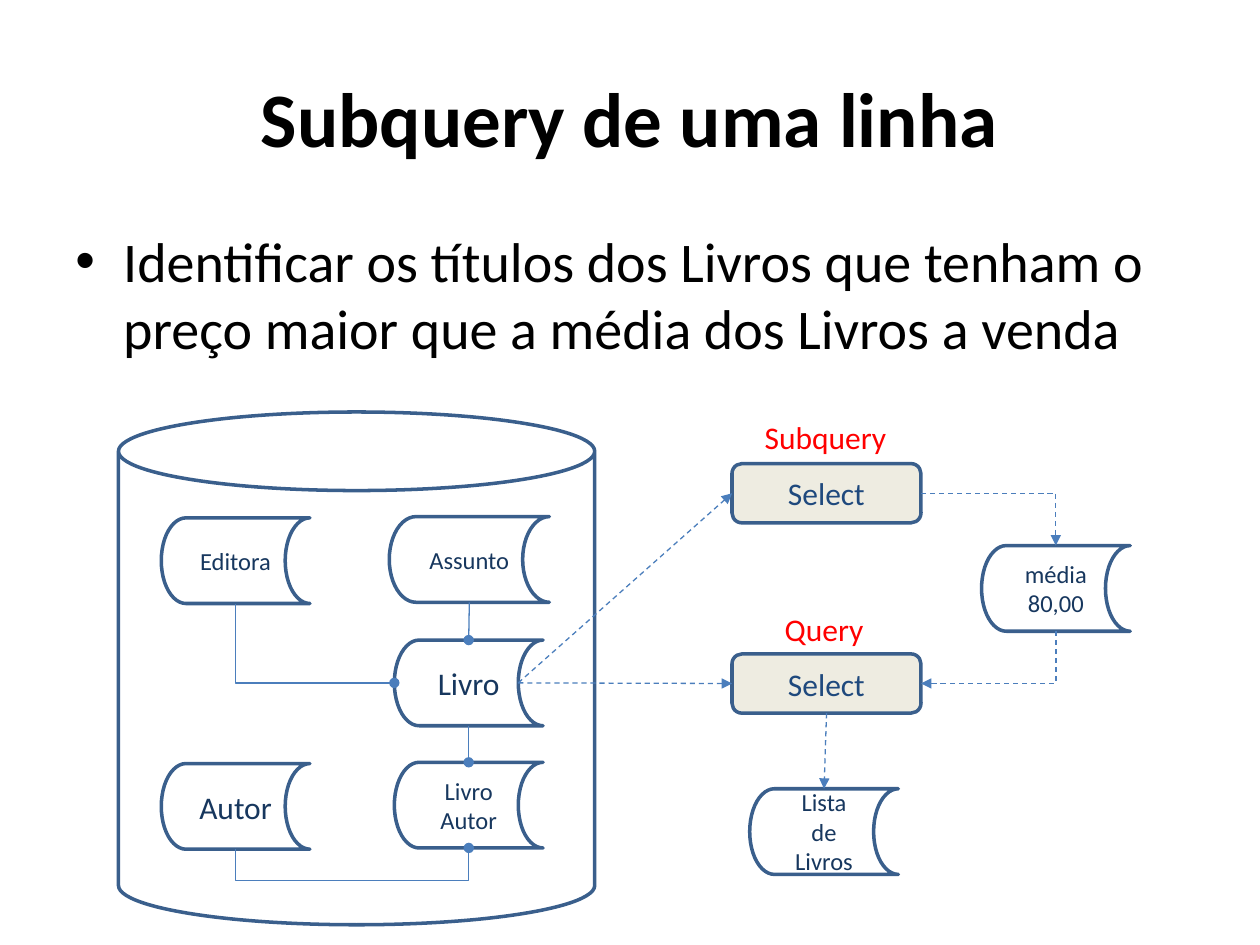
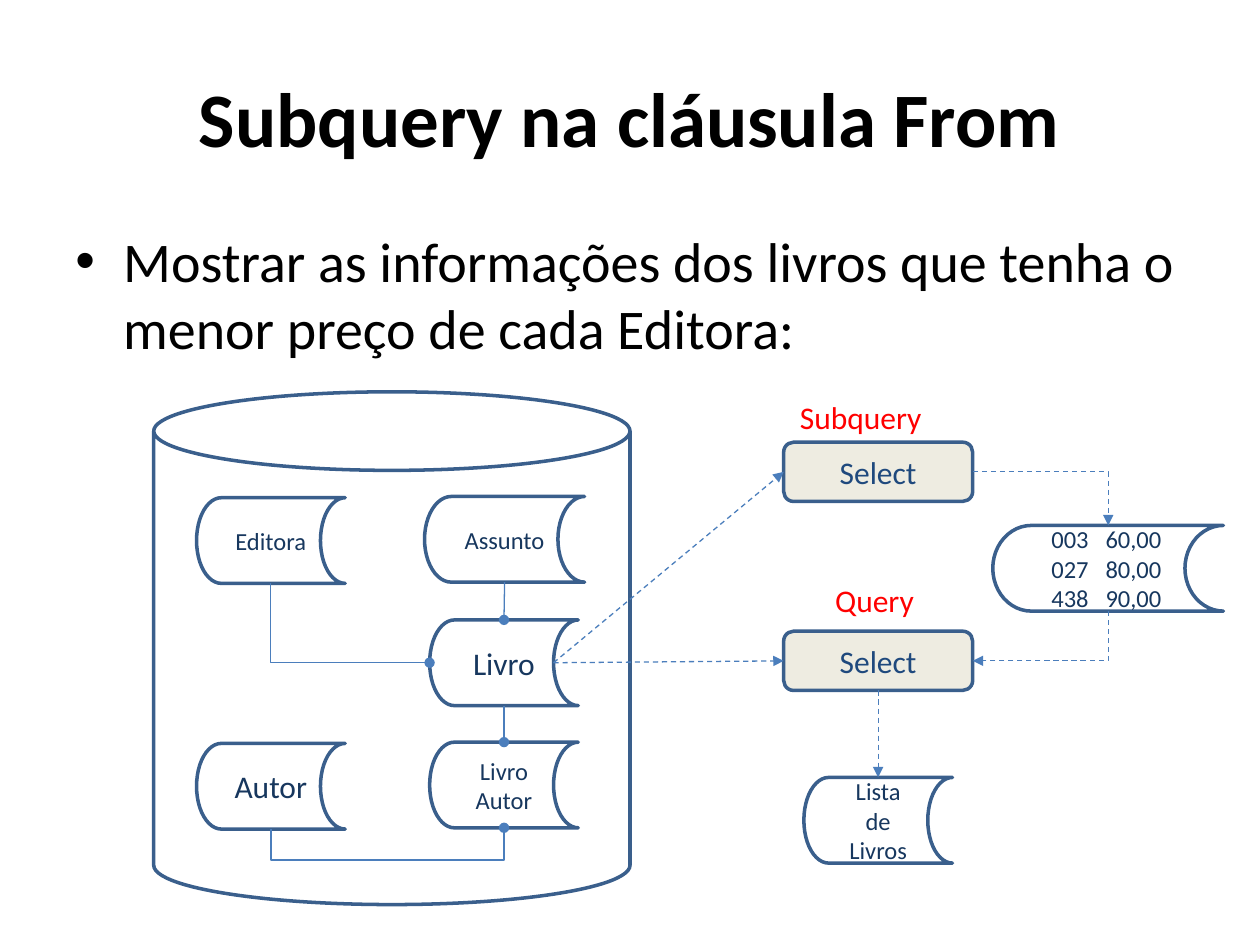
import pptx
import pptx.util
import pptx.dml.color
import pptx.enum.dml
import pptx.enum.shapes
import pptx.enum.text
import pptx.oxml.ns
import lxml.etree

Inches = pptx.util.Inches
Pt = pptx.util.Pt
RGBColor = pptx.dml.color.RGBColor
SHAPES = pptx.enum.shapes.MSO_SHAPE
CONNECTORS = pptx.enum.shapes.MSO_CONNECTOR
ALIGN = pptx.enum.text.PP_ALIGN
ANCHOR = pptx.enum.text.MSO_ANCHOR
qn = pptx.oxml.ns.qn

# Shared style
FONT = "Calibri"
BLACK = RGBColor(0x00, 0x00, 0x00)
WHITE = RGBColor(0xFF, 0xFF, 0xFF)
RED = RGBColor(0xFF, 0x00, 0x00)
NAVY = RGBColor(0x17, 0x37, 0x5E)
BLUE = RGBColor(0x1F, 0x49, 0x7D)
OUTLINE = RGBColor(0x3A, 0x5F, 0x8C)
LINK = RGBColor(0x4B, 0x7E, 0xBC)
CREAM = RGBColor(0xEE, 0xEC, 0xE1)
STORE_WIDTH, STORE_HEIGHT = 1.18, 0.68
SELECT_WIDTH, SELECT_HEIGHT = 1.5, 0.47
TOP, LEFT, BOTTOM, RIGHT = range(4)

# Database content: offsets from the cylinder's corner
CYLINDER_SIZE = (3.78, 4.07)
TABLES = [  # name, left, top, width, lines, text size
    ("assunto", 2.15, 0.83, 1.27, ["Assunto"], 14),
    ("livro", 2.19, 1.81, STORE_WIDTH, ["Livro"], 18),
    ("editora", 0.34, 0.84, STORE_WIDTH, ["Editora"], 14),
    ("livro_autor", 2.19, 2.78, STORE_WIDTH, ["Livro", "Autor"], 14),
    ("autor", 0.34, 2.79, STORE_WIDTH, ["Autor"], 18),
]
RELATIONS = [
    ("livro", BOTTOM, "livro_autor", TOP),
    ("autor", BOTTOM, "livro_autor", BOTTOM),
    ("assunto", BOTTOM, "livro", TOP),
    ("editora", BOTTOM, "livro", LEFT),
]
FLOWS = [
    ("livro", RIGHT, "subquery", LEFT),
    ("query", BOTTOM, "list", TOP),
    ("subquery", RIGHT, "result", TOP),
    ("livro", RIGHT, "query", LEFT),
    ("result", BOTTOM, "query", RIGHT),
]

SLIDES = [
    {
        "title": "Subquery de uma linha",
        "body": "Identificar os títulos dos Livros que tenham o preço maior "
                "que a média dos Livros a venda",
        "cylinder": (0.94, 3.27),
        "selects": {"query": (5.81, 5.19), "subquery": (5.81, 3.68)},
        "result": (7.79, 4.33, STORE_WIDTH, ["média", "80,00"]),
        "list": (5.95, 6.26),
        "labels": [("Subquery", 5.97, 3.27, 1.18), ("Query", 6.13, 4.79, 0.83)],
    },
    {
        "title": "Subquery na cláusula From",
        "body": "Mostrar as informações dos livros que tenha o menor preço "
                "de cada Editora:",
        "cylinder": (1.22, 3.11),
        "selects": {"query": (6.22, 5.01), "subquery": (6.22, 3.51)},
        "result": (7.88, 4.17, 1.83,
                   ["003\t60,00", "027\t80,00", "438\t90,00"]),
        "list": (6.38, 6.17),
        "labels": [("Subquery", 6.25, 3.11, 1.18), ("Query", 6.53, 4.56, 0.83)],
    },
]


def write(frame, lines, size, color, align=ALIGN.CENTER, bold=False):
    for index, line in enumerate(lines):
        paragraph = frame.paragraphs[0] if index == 0 else frame.add_paragraph()
        paragraph.alignment = align
        run = paragraph.add_run()
        run.text = line
        run.font.name = FONT
        run.font.size = Pt(size)
        run.font.bold = bold
        run.font.color.rgb = color


def add_text(slide, box, text, size, color, wrap=True, **style):
    frame = slide.shapes.add_textbox(*map(Inches, box)).text_frame
    frame.word_wrap = wrap
    write(frame, [text], size, color, **style)
    return frame


def add_outlined(slide, kind, box, fill=None):
    shape = slide.shapes.add_shape(kind, *map(Inches, box))
    shape.shadow.inherit = False
    if fill is None:
        shape.fill.background()
    else:
        shape.fill.solid()
        shape.fill.fore_color.rgb = fill
    shape.line.color.rgb = OUTLINE
    shape.line.width = Pt(2)
    shape.text_frame.vertical_anchor = ANCHOR.MIDDLE
    return shape


def add_store(slide, left, top, width, lines, size=14):
    box = (left, top, width, STORE_HEIGHT)
    shape = add_outlined(slide, SHAPES.FLOWCHART_STORED_DATA, box)
    write(shape.text_frame, lines, size, NAVY)
    return shape


def set_columns(shape, inset, stop):
    """Line up tabbed values in two columns."""
    shape.text_frame.margin_left = Inches(inset)
    for paragraph in shape.text_frame.paragraphs:
        paragraph.alignment = ALIGN.LEFT
        properties = paragraph._p.get_or_add_pPr()
        tabs = lxml.etree.SubElement(properties, qn("a:tabLst"))
        lxml.etree.SubElement(tabs, qn("a:tab"), pos=str(Inches(stop)), algn="l")


def site_point(shape, site):
    """Connection point in inches; stored data joins at its inner right curve."""
    left, top = shape.left.inches, shape.top.inches
    width, height = shape.width.inches, shape.height.inches
    stored = shape.auto_shape_type == SHAPES.FLOWCHART_STORED_DATA
    right = left + width * (5 / 6 if stored else 1)
    return [(left + width / 2, top), (left, top + height / 2),
            (left + width / 2, top + height), (right, top + height / 2)][site]


def add_link(slide, source, source_site, target, target_site, head, dashed):
    x1, y1 = site_point(source, source_site)
    x2, y2 = site_point(target, target_site)
    preset, turn, adjust = None, 0, None
    if (source_site, target_site) == (BOTTOM, BOTTOM):
        preset, turn = "bentConnector3", 90
        adjust = -0.25 / abs(y2 - y1)
    elif (source_site, target_site) not in [(BOTTOM, TOP), (RIGHT, LEFT)]:
        preset = "bentConnector2"
        if source_site == BOTTOM:
            turn = 270 if x2 > x1 else 90
    if turn:
        # Swap the axes about the centre, as the box is rotated afterwards
        x, y = (x1 + x2) / 2, (y1 + y2) / 2
        sign = 1 if turn == 90 else -1
        run, rise = sign * (y2 - y1) / 2, sign * (x1 - x2) / 2
        x1, y1, x2, y2 = x - run, y - rise, x + run, y + rise
    kind = CONNECTORS.ELBOW if preset else CONNECTORS.STRAIGHT
    connector = slide.shapes.add_connector(kind, *map(Inches, (x1, y1, x2, y2)))
    connector.rotation = turn
    connector.line.color.rgb = LINK
    connector.line.width = Pt(0.75)
    if dashed:
        connector.line.dash_style = pptx.enum.dml.MSO_LINE.DASH

    # Route, arrowhead, no shadow, attachment to both shapes
    properties = connector._element.spPr
    if preset:
        geometry = properties.find(qn("a:prstGeom"))
        geometry.set("prst", preset)
        if adjust is not None:
            lxml.etree.SubElement(geometry.find(qn("a:avLst")), qn("a:gd"),
                                  name="adj1", fmla=f"val {round(adjust * 100000)}")
    line = properties.find(qn("a:ln"))
    lxml.etree.SubElement(line, qn("a:tailEnd"), type=head)
    lxml.etree.SubElement(properties, qn("a:effectLst"))
    ends = connector._element.find(".//" + qn("p:cNvCxnSpPr"))
    for tag, shape, site in [("a:stCxn", source, source_site),
                             ("a:endCxn", target, target_site)]:
        lxml.etree.SubElement(ends, qn(tag), id=str(shape.shape_id), idx=str(site))


def add_heading(slide, title, body):
    frame = add_text(slide, (0.5, 0.3, 9, 1.25), title, 44, BLACK, bold=True)
    frame.vertical_anchor = ANCHOR.MIDDLE
    frame = add_text(slide, (0.5, 1.75, 9, 1.3), body, 32, BLACK, align=ALIGN.LEFT)
    paragraph = frame.paragraphs[0]
    paragraph.space_before = Pt(6.4)
    properties = paragraph._p.get_or_add_pPr()
    properties.set("marL", str(Inches(0.38)))
    properties.set("indent", str(Inches(-0.38)))
    lxml.etree.SubElement(properties, qn("a:buFont"), typeface="Arial")
    lxml.etree.SubElement(properties, qn("a:buChar"), char="•")


def build_slide(presentation, content):
    slide = presentation.slides.add_slide(presentation.slide_layouts[6])
    add_heading(slide, content["title"], content["body"])

    # Database and its tables
    origin_x, origin_y = content["cylinder"]
    cylinder = add_outlined(slide, SHAPES.CAN,
                            (origin_x, origin_y, *CYLINDER_SIZE), WHITE)
    cylinder.adjustments[0] = 0.165
    nodes = {}
    for name, left, top, width, lines, size in TABLES:
        nodes[name] = add_store(slide, origin_x + left, origin_y + top,
                                width, lines, size)

    # Queries and their results
    for name, (left, top) in content["selects"].items():
        box = (left, top, SELECT_WIDTH, SELECT_HEIGHT)
        nodes[name] = add_outlined(slide, SHAPES.ROUNDED_RECTANGLE, box, CREAM)
        write(nodes[name].text_frame, ["Select"], 18, BLUE)
    nodes["result"] = add_store(slide, *content["result"])
    if "\t" in content["result"][3][0]:
        set_columns(nodes["result"], 0.16, 0.43)
    nodes["list"] = add_store(slide, *content["list"], STORE_WIDTH,
                              ["Lista de Livros"])

    # Links and labels
    for links, head, dashed in [(RELATIONS, "oval", False),
                                (FLOWS, "triangle", True)]:
        for source, source_site, target, target_site in links:
            add_link(slide, nodes[source], source_site,
                     nodes[target], target_site, head, dashed)
    for text, left, top, width in content["labels"]:
        add_text(slide, (left, top, width, 0.4), text, 18, RED,
                 wrap=False, align=ALIGN.LEFT)


presentation = pptx.Presentation()
presentation.slide_width = Inches(10)
presentation.slide_height = Inches(7.5)
for content in SLIDES:
    build_slide(presentation, content)
presentation.save("out.pptx")
